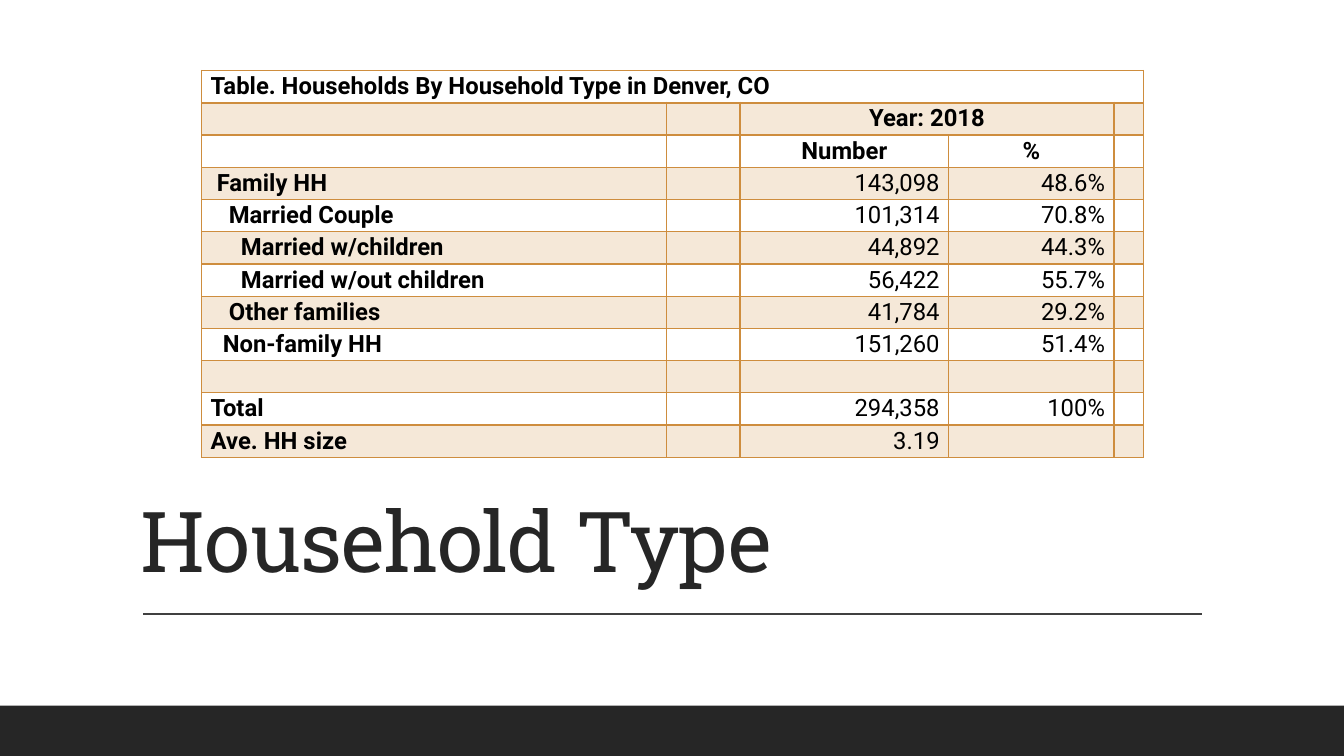
"""Build the Household Type slide with its table of Denver households."""
from lxml.etree import SubElement
from pptx import Presentation
from pptx.dml.color import RGBColor as RGB
from pptx.enum.shapes import MSO_CONNECTOR as CONN, MSO_SHAPE as SHAPE
from pptx.enum.text import MSO_ANCHOR as ANCHOR, PP_ALIGN as ALIGN
from pptx.oxml.ns import qn
from pptx.util import Inches, Pt

TITLE = "Household Type"
CAPTION = "Table. Households By Household Type in Denver, CO"
YEAR = "Year: 2018"
HEADINGS = ("Number", "%")
HOUSEHOLDS = [
    ("Family HH", 1, "143,098", "48.6%"),
    ("Married Couple", 3, "101,314", "70.8%"),
    ("Married w/children", 5, "44,892", "44.3%"),
    ("Married w/out children", 5, "56,422", "55.7%"),
    ("Other families", 3, "41,784", "29.2%"),
    ("Non-family HH", 2, "151,260", "51.4%"),
    ("", 0, "", ""),
    ("Total", 0, "294,358", "100%"),
    ("Ave. HH size", 0, "3.19", ""),
]
COL_WIDTHS = (4.61, 0.73, 2.07, 1.64, 0.29)
ROW_HEIGHT = 0.32
INSET, INDENT = 0.09, 0.06
THEME = {
    "dark": "262626", "rule": "404040", "text": "000000", "accent": "CE8D3E",
    "tint": 20000, "title_font": "Roboto Slab", "body_font": "Roboto",
    "title_size": 60, "body_size": 17,
}


def add_run(p, text, font, size, color, bold=False):
    r = p.add_run()
    r.text = text
    r.font.name, r.font.size, r.font.bold = font, Pt(size), bold
    r.font.color.rgb = RGB.from_string(color)
    return r


def style_cell(cell, row):
    cell.margin_left = cell.margin_right = Inches(INSET)
    cell.margin_top = cell.margin_bottom = 0
    tc_pr = cell._tc.get_or_add_tcPr()
    for side in ("lnL", "lnR", "lnT", "lnB"):
        heavy = (row, side) in ((0, "lnB"), (1, "lnT"))
        ln = SubElement(tc_pr, qn("a:" + side), w=str(Pt(2 if heavy else 1)))
        line_fill = SubElement(ln, qn("a:solidFill"))
        SubElement(line_fill, qn("a:srgbClr"), val=THEME["accent"])
    if row % 2:
        cell.fill.solid()
        cell.fill.fore_color.rgb = RGB.from_string(THEME["accent"])
        color = tc_pr.find(qn("a:solidFill")).find(qn("a:srgbClr"))
        SubElement(color, qn("a:alpha"), val=str(THEME["tint"]))
    else:
        cell.fill.background()


def write_cell(cell, text, align, bold, level=0):
    p = cell.text_frame.paragraphs[0]
    p.alignment, p.line_spacing = align, 1.07
    cell.margin_left = Inches(INSET + level * INDENT)
    if text:
        add_run(p, text, THEME["body_font"], THEME["body_size"], THEME["text"], bold)
    else:
        SubElement(p._p, qn("a:endParaRPr"), sz=str(THEME["body_size"] * 100))


def add_households(s):
    rows = [
        [(CAPTION, ALIGN.LEFT, True)],
        [("",), ("",), (YEAR, ALIGN.CENTER, True)],
        [("",), ("",)] + [(h, ALIGN.CENTER, True) for h in HEADINGS],
    ]
    for label, level, number, share in HOUSEHOLDS:
        rows.append([(label, ALIGN.LEFT, True, level), ("",),
                     (number, ALIGN.RIGHT, False), (share, ALIGN.RIGHT, False)])
    frame = s.shapes.add_table(len(rows), len(COL_WIDTHS), Inches(2), Inches(0.7),
                               Inches(sum(COL_WIDTHS)), Inches(ROW_HEIGHT * len(rows)))
    table = frame.table
    table.first_row = table.horz_banding = False
    for col, width in zip(table.columns, COL_WIDTHS):
        col.width = Inches(width)
    for i, row in enumerate(rows):
        table.rows[i].height = Inches(ROW_HEIGHT)
        row += [("",)] * (len(COL_WIDTHS) - len(row))
        for j, (text, *look) in enumerate(row):
            cell = table.cell(i, j)
            style_cell(cell, i)
            write_cell(cell, text, *(look or (ALIGN.LEFT, False)))
    table.cell(0, 0).merge(table.cell(0, 4))
    table.cell(1, 2).merge(table.cell(1, 3))


def add_title(s):
    tf = s.shapes.add_textbox(Inches(1.3), Inches(4.78), Inches(10.74), Inches(1.13)).text_frame
    tf.word_wrap, tf.vertical_anchor = True, ANCHOR.BOTTOM
    p = tf.paragraphs[0]
    p.line_spacing = 0.9
    r = add_run(p, TITLE, THEME["title_font"], THEME["title_size"], THEME["dark"])
    r.font._element.set("spc", "-50")


def add_rule_and_footer(s):
    rule = s.shapes.add_connector(CONN.STRAIGHT, Inches(1.42), Inches(6.09),
                                  Inches(11.92), Inches(6.09))
    rule.line.color.rgb, rule.line.width = RGB.from_string(THEME["rule"]), Pt(1)
    SubElement(rule._element.spPr, qn("a:effectLst"))
    footer = s.shapes.add_shape(SHAPE.RECTANGLE, 0, Inches(7), Inches(13.33), Inches(0.5))
    footer.shadow.inherit = False
    footer.fill.solid()
    footer.fill.fore_color.rgb = RGB.from_string(THEME["dark"])
    footer.line.fill.background()


def main():
    prs = Presentation()
    prs.slide_width, prs.slide_height = Inches(13.33), Inches(7.5)
    s = prs.slides.add_slide(prs.slide_layouts[6])
    add_title(s)
    add_rule_and_footer(s)
    add_households(s)
    prs.save("out.pptx")


if __name__ == "__main__":
    main()
